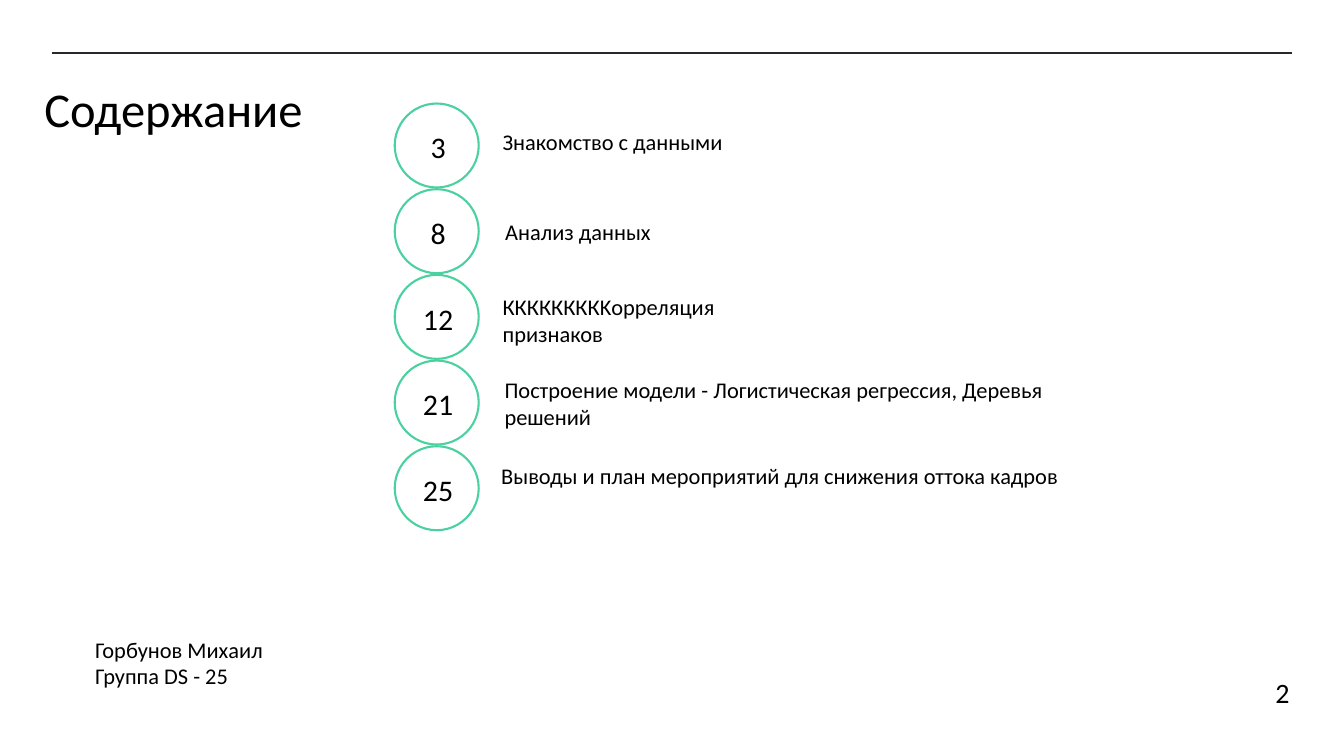
from pptx import Presentation
from pptx.dml.color import RGBColor
from pptx.enum.shapes import MSO_CONNECTOR, MSO_SHAPE
from pptx.enum.text import MSO_ANCHOR, MSO_AUTO_SIZE, PP_ALIGN
from pptx.oxml.ns import qn
from pptx.util import Pt
from lxml import etree

OVAL = MSO_SHAPE.OVAL
STRAIGHT = MSO_CONNECTOR.STRAIGHT
TOP, MIDDLE = MSO_ANCHOR.TOP, MSO_ANCHOR.MIDDLE
LEFT, CENTER = PP_ALIGN.LEFT, PP_ALIGN.CENTER
NO_AUTOFIT = MSO_AUTO_SIZE.NONE

BLACK, GREEN, RULE = "000000", "4BD0A0", "27282D"
CIRCLE_LEFT, CIRCLE_TOP, CIRCLE_SIZE, CIRCLE_PITCH = 422.9, 110.9, 90, 91.8

# Page, heading, and left, top, width, height and vertical inset of the heading
SECTIONS = [
    ("3", "Знакомство с данными", (531.4, 129.6, 625.7, 41), 7.2),
    ("8", "Анализ данных", (534.2, 226.1, 625.7, 92.2), 7.2),
    ("12", "ККККККККKорреляция признаков", (531.4, 311, 294.5, 65.5), 3.6),
    ("21", "Построение модели - Логистическая регрессия, Деревья решений",
     (533.5, 396, 625.7, 69.8), 7.2),
    ("25", "Выводы и план мероприятий для снижения оттока кадров",
     (529.9, 488.2, 625.7, 69.1), 7.2),
]


def rgb(value):
    return RGBColor.from_string(value)


def set_all(target, values):
    for attribute, value in values.items():
        setattr(target, attribute, value)


def write(shape, lines, size, align=LEFT, anchor=TOP, inset_x=7.2, inset_y=7.2,
          spacing=1.0):
    """Fill a shape with one paragraph per line."""
    frame = shape.text_frame
    frame.text = "\n".join(lines)
    set_all(frame, {
        "word_wrap": True, "auto_size": NO_AUTOFIT, "vertical_anchor": anchor,
        "margin_left": Pt(inset_x), "margin_right": Pt(inset_x),
        "margin_top": Pt(inset_y), "margin_bottom": Pt(inset_y),
    })
    for paragraph in frame.paragraphs:
        set_all(paragraph, {"alignment": align, "line_spacing": spacing})
        set_all(paragraph.runs[0].font, {"name": "Calibri", "size": Pt(size)})
        paragraph.runs[0].font.color.rgb = rgb(BLACK)


def add_text(slide, box, lines, size, **layout):
    write(slide.shapes.add_textbox(*map(Pt, box)), lines, size, **layout)


def add_page_circle(slide, top, page):
    circle = slide.shapes.add_shape(OVAL, Pt(CIRCLE_LEFT), Pt(top),
                                    Pt(CIRCLE_SIZE), Pt(CIRCLE_SIZE))
    circle.shadow.inherit = False
    circle.fill.background()
    circle.line.color.rgb = rgb(GREEN)
    circle.line.width = Pt(2.25)
    write(circle, [page], 32, align=CENTER, anchor=MIDDLE, inset_x=0, inset_y=0)
    # Lower the digits slightly and move them right within the circle
    set_all(circle.text_frame, {"margin_left": Pt(3), "margin_top": Pt(3)})


def add_rule(slide, left, right, y):
    rule = slide.shapes.add_connector(STRAIGHT, Pt(left), Pt(y), Pt(right), Pt(y))
    rule.line.color.rgb = rgb(RULE)
    rule.line.width = Pt(1.5)
    etree.SubElement(rule._element.spPr, qn("a:effectLst"))


def add_title(slide, text):
    title = slide.shapes.title
    set_all(title, {"left": Pt(40.3), "top": Pt(90),
                    "width": Pt(364.3), "height": Pt(67.7)})
    write(title, [text], 52, spacing=0.8)


def add_section(slide, index, page, heading, box, inset_y):
    add_page_circle(slide, CIRCLE_TOP + index * CIRCLE_PITCH, page)
    add_text(slide, box, [heading], 24, inset_y=inset_y)


def main():
    deck = Presentation()
    set_all(deck, {"slide_width": Pt(1440), "slide_height": Pt(810)})
    slide = deck.slides.add_slide(deck.slide_layouts[5])

    # Rule along the top
    add_rule(slide, 56.2, 1383.8, 56.9)

    # Contents
    add_title(slide, "Содержание")
    for index, section in enumerate(SECTIONS):
        add_section(slide, index, *section)

    # Author and page number
    add_text(slide, (95, 677.5, 720, 65.5), ["Горбунов Михаил", "Группа DS - 25"],
             24, inset_y=3.6)
    add_text(slide, (1359.4, 720.7, 32.4, 43.9), ["2"], 30, inset_y=3.6)

    deck.save("out.pptx")


if __name__ == "__main__":
    main()
